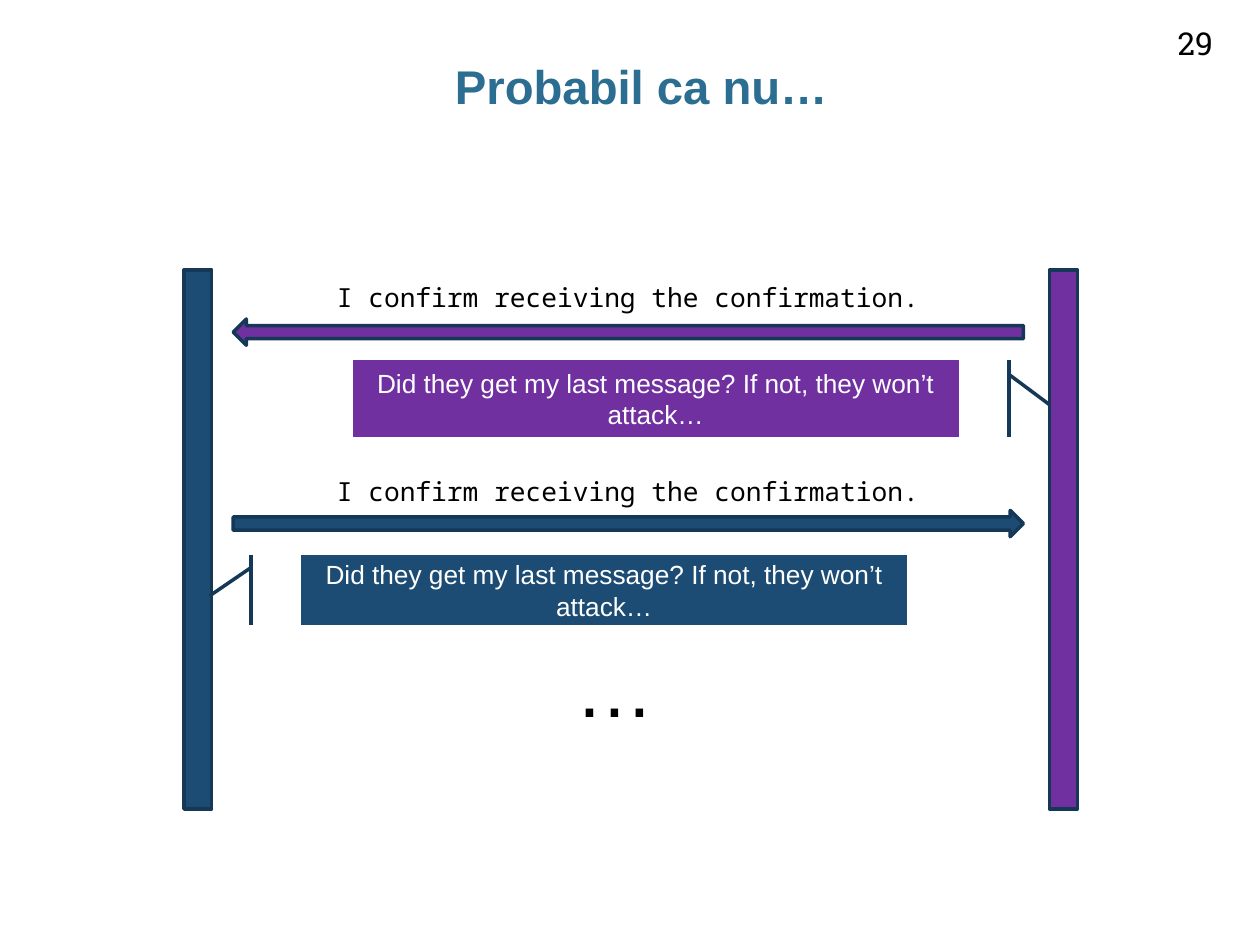
from pptx import Presentation
from pptx.dml.color import RGBColor
from pptx.enum.shapes import MSO_SHAPE as SHAPE
from pptx.enum.text import MSO_ANCHOR as ANCHOR, PP_ALIGN as ALIGN
from pptx.util import Cm, Pt

COLORS = {"title": "2C6D92", "blue": "1C4C74", "purple": "7030A0",
          "line": "153856", "black": "000000", "white": "FFFFFF"}
MESSAGE = "I confirm receiving the confirmation."
DOUBT = "Did they get my last message? If not, they won’t attack…"

prs = Presentation()
prs.slide_width, prs.slide_height = Cm(25.4), Cm(19.05)
s = prs.slides.add_slide(prs.slide_layouts[6])


def add_text(sp, text, color, anchor=ANCHOR.TOP, align=ALIGN.CENTER, **font):
    tf = sp.text_frame
    tf.word_wrap = True
    tf.vertical_anchor = anchor
    p = tf.paragraphs[0]
    p.alignment = align
    r = p.add_run()
    r.text = text
    r.font.color.rgb = RGBColor.from_string(COLORS[color])
    for name, value in font.items():
        setattr(r.font, name, value)
    return tf


def add_shape(kind, box, color):
    sp = s.shapes.add_shape(kind, *map(Cm, box))
    sp.shadow.inherit = False
    sp.fill.solid()
    sp.fill.fore_color.rgb = RGBColor.from_string(COLORS[color])
    sp.line.color.rgb = RGBColor.from_string(COLORS["line"])
    sp.line.width = Pt(2)
    return sp


# Title
sp = s.shapes.add_textbox(Cm(0.94), Cm(0.99), Cm(23.98), Cm(2.01))
tf = add_text(sp, "Probabil ca nu…", "title", name="Arial", size=Pt(27), bold=True)
tf.margin_top = tf.margin_bottom = Cm(0.25)
tf.paragraphs[0].line_spacing = 0.95

# Slide number
sp = s.shapes.add_textbox(Cm(23.27), Cm(0.36), Cm(1.65), Cm(1.02))
add_text(sp, "29", "black", ANCHOR.BOTTOM, name="Roboto Slab", size=Pt(18))

# Timelines of the two generals
for left, color in [(3.71, "blue"), (21.16, "purple")]:
    add_shape(SHAPE.RECTANGLE, (left, 5.44, 0.56, 10.87), color)

# Messages: label, arrow and the sender's doubt
messages = [
    # color, label top, arrow top, callout box, sent to the left
    ("purple", 5.54, 6.43, (7.11, 7.26, 12.22, 1.55), True),
    ("blue", 9.45, 10.29, (6.07, 11.18, 12.22, 1.42), False),
]
for color, label_top, arrow_top, callout_box, to_left in messages:
    arrow = add_shape(SHAPE.RIGHT_ARROW, (4.7, arrow_top, 15.93, 0.53), color)
    arrow.rotation = 180 if to_left else 0

    label = s.shapes.add_textbox(Cm(4.7), Cm(label_top), Cm(15.93), Cm(0.89))
    add_text(label, MESSAGE, "black", name="Noto Sans Mono", size=Pt(15))

    callout = add_shape(SHAPE.LINE_CALLOUT_1_ACCENT_BAR, callout_box, color)
    for i, value in enumerate([0.188, -0.083, 0.588, -0.151]):
        callout.adjustments[i] = value
    if to_left:
        callout._element.spPr.xfrm.set("flipH", "1")
    add_text(callout, DOUBT, "white", ANCHOR.MIDDLE, name="Arial", size=Pt(15))

# And so on
sp = s.shapes.add_textbox(Cm(11.35), Cm(12.75), Cm(1.65), Cm(2.18))
add_text(sp, "…", "black", align=ALIGN.LEFT, name="Arial", size=Pt(45))

prs.save("out.pptx")
